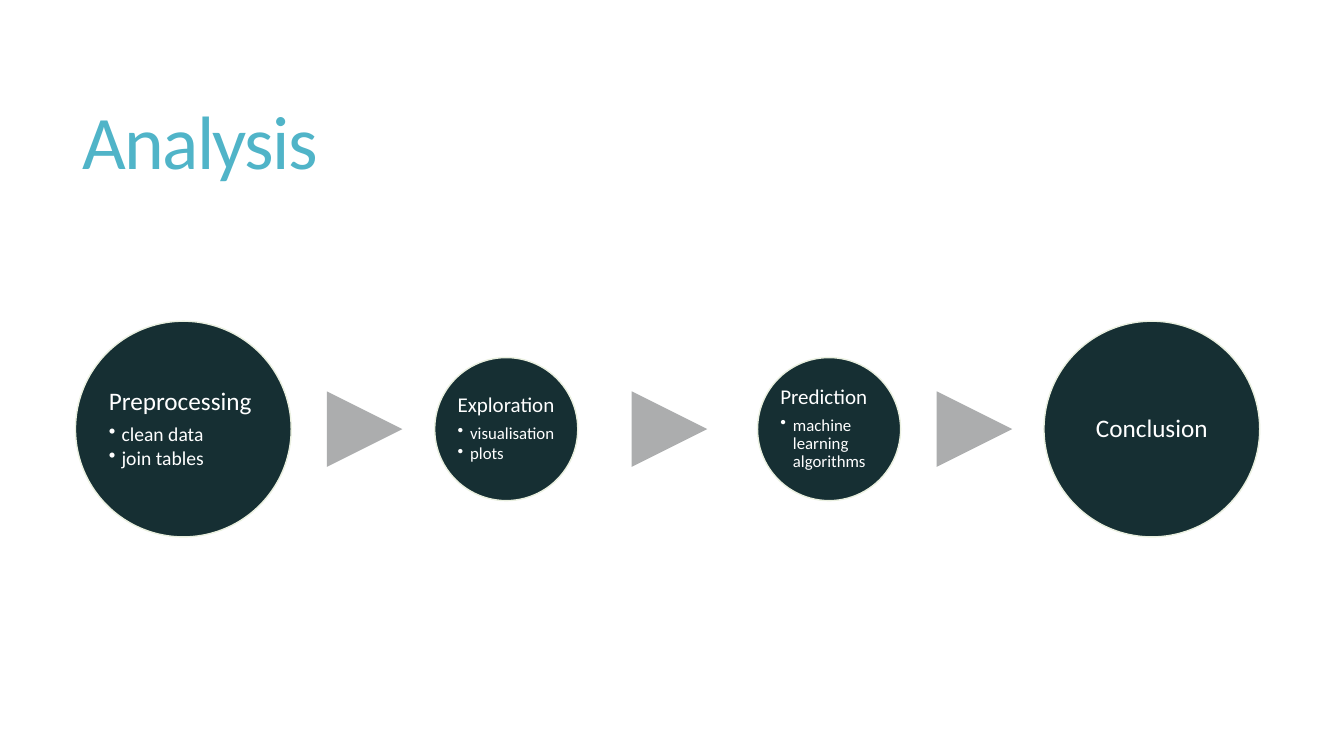
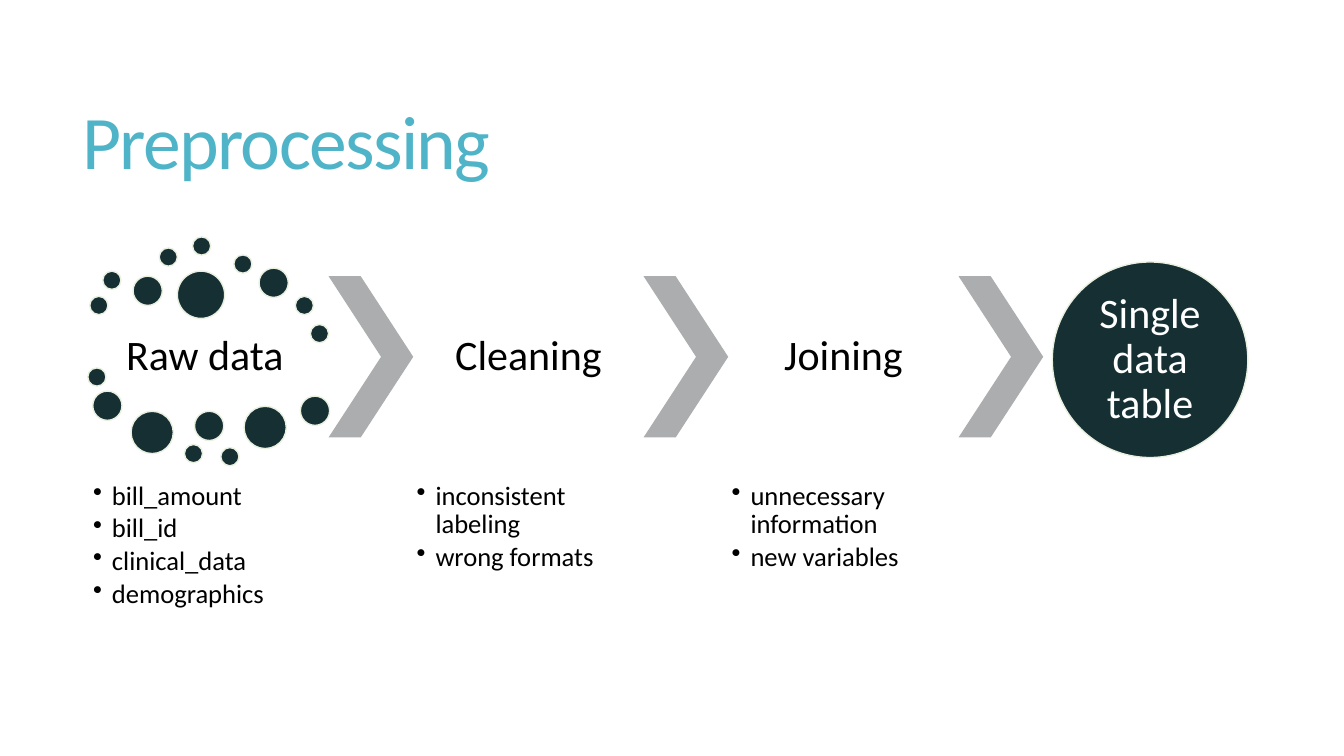
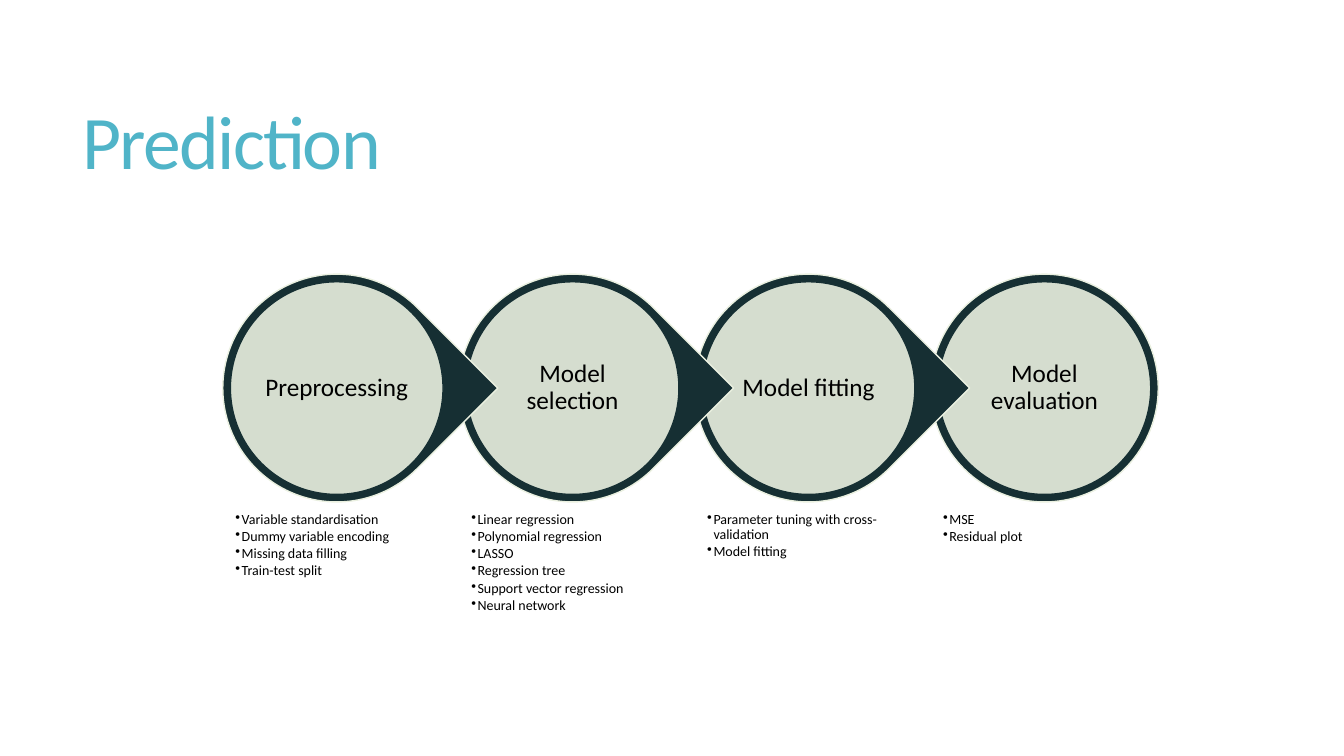
"""Build three slides on analysis, preprocessing and prediction."""
from dataclasses import dataclass
from typing import Any

from lxml import etree
from pptx import Presentation
from pptx.dml import color
from pptx.enum import shapes, text
from pptx.oxml import ns
from pptx.util import Pt

HUES = {"title": "50B4C8", "dark": "162F33", "pale": "EAF0E0",
        "grey": "ACADAE", "white": "FFFFFF", "black": "000000"}
FONT = "Calibri"
CORE = 0.71
KIND = shapes.MSO_SHAPE
LEFT, MID = text.PP_ALIGN.LEFT, text.PP_ALIGN.CENTER
TOP, CENTRE = text.MSO_ANCHOR.TOP, text.MSO_ANCHOR.MIDDLE


@dataclass(frozen=True)
class Box:
    """A frame on the slide, in points."""
    left: float
    top: float
    wide: float
    high: float

    def pts(self) -> tuple[Pt, ...]:
        """Give the frame as lengths."""
        return tuple(Pt(n) for n in (self.left, self.top, self.wide, self.high))


@dataclass(frozen=True)
class Style:
    """The look of a paragraph; a hang above zero brings a bullet."""
    size: float
    hue: str = "black"
    align: Any = LEFT
    after: float = 0.35
    lead: float = 0.9
    hang: float = 0
    track: int = 0


@dataclass(frozen=True)
class Line:
    """One paragraph of text."""
    words: str
    style: Style


@dataclass(frozen=True)
class Step:
    """A disc of a flow with its heading and points."""
    wide: float
    head: Line
    points: tuple[str, ...] = ()
    small: float = 14


@dataclass(frozen=True)
class Stage:
    """A label with a list of points below it."""
    name: str
    points: tuple[str, ...]


def put(thing: Any, form: dict[str, Any]) -> None:
    """Set attributes from a dict."""
    for key, value in form.items():
        setattr(thing, key, value)


def tint(hue: str) -> color.RGBColor:
    """Look up a colour."""
    return color.RGBColor.from_string(HUES[hue])


def square(x: float, y: float, side: float) -> Box:
    """Make a square frame around a centre."""
    return Box(x - side / 2, y - side / 2, side, side)


def write(slide: Any, box: Box, lines: list[Line], inset: float = 2,
          anchor: Any = CENTRE) -> None:
    """Add a text box."""
    frame = slide.shapes.add_textbox(*box.pts()).text_frame
    put(frame, {"word_wrap": True, "vertical_anchor": anchor})
    put(frame, {f"margin_{side}": Pt(inset)
                for side in ("left", "top", "right", "bottom")})
    for num, line in enumerate(lines):
        style = line.style
        para = frame.add_paragraph() if num else frame.paragraphs[0]
        put(para, {"alignment": style.align, "line_spacing": style.lead,
                   "space_after": Pt(style.size * style.after)})
        run = para.add_run()
        run.text = line.words
        put(run.font, {"size": Pt(style.size), "name": FONT})
        run.font.color.rgb = tint(style.hue)
        if style.track:
            run.font._element.set("spc", str(style.track))
        if style.hang:
            props = para._p.get_or_add_pPr()
            props.set("marL", str(Pt(style.hang)))
            props.set("indent", str(-Pt(style.hang)))
            etree.SubElement(props, ns.qn("a:buChar")).set("char", "•")


def draw(slide: Any, kind: Any, box: Box, fill: str = "dark", edge: str = "pale",
         turn: float = 0, alpha: int = 100) -> Any:
    """Add a filled shape; an empty edge means no outline."""
    shape = slide.shapes.add_shape(kind, *box.pts())
    shape.shadow.inherit = False
    shape.rotation = turn
    shape.fill.solid()
    shape.fill.fore_color.rgb = tint(fill)
    if alpha < 100:
        node = shape._element.spPr.find(".//" + ns.qn("a:srgbClr"))
        etree.SubElement(node, ns.qn("a:alpha")).set("val", str(alpha * 1000))
    if edge:
        shape.line.color.rgb = tint(edge)
        shape.line.width = Pt(1)
    else:
        shape.line.fill.background()
    return shape


def points(items: tuple[str, ...], size: float, hang: float,
           hue: str = "black") -> list[Line]:
    """Make bulleted lines."""
    style = Style(size, hue, after=0.15, hang=hang)
    return [Line(item, style) for item in items]


def start(deck: Any, title: str) -> Any:
    """Add a blank slide with its title."""
    slide = deck.slides.add_slide(deck.slide_layouts[6])
    style = Style(54, "title", after=0, lead=0.85, track=-120)
    write(slide, Box(51.8, 39.6, 848.2, 130.3), [Line(title, style)], 7.2)
    return slide


def flow(deck: Any) -> None:
    """Draw the analysis slide."""
    slide = start(deck, "Analysis")
    big, small = Style(18, "white"), Style(15, "white")
    steps = (
        Step(154.1, Line("Preprocessing", big), ("clean data", "join tables")),
        Step(102.2, Line("Exploration", small), ("visualisation", "plots"), 12),
        Step(102.2, Line("Prediction", small), ("machine learning algorithms",), 12),
        Step(154.1, Line("Conclusion", Style(18, "white", MID))),
    )
    mid = 306.5
    for num, step in enumerate(steps):
        x = 131 + num * 230.6
        draw(slide, KIND.OVAL, square(x, mid, step.wide))
        write(slide, square(x, mid, step.wide * CORE),
              [step.head, *points(step.points, step.small, 9, "white")], 1.5)
    for num in range(len(steps) - 1):
        draw(slide, KIND.ISOSCELES_TRIANGLE, square(260.4 + num * 217.8, mid, 54),
             "grey", "", 90)


def clean(deck: Any) -> None:
    """Draw the preprocessing slide."""
    slide = start(deck, "Preprocessing")
    dots = {
        13: ((70.6, 218.2), (79.9, 200.2), (120.2, 183.6), (144, 175.7),
             (173.5, 188.6), (217.4, 218.2), (228.2, 238.3), (69.2, 269.3),
             (138.2, 324), (164.2, 326.2)),
        20.9: ((105.5, 207.7), (195.5, 202), (76.7, 289.8), (149.4, 304.2),
               (225, 293.4)),
        30.2: ((108.7, 308.9), (189.4, 305.3)),
        33.8: ((143.6, 210.6),),
    }
    for side, spots in dots.items():
        for x, y in spots:
            draw(slide, KIND.OVAL, square(x, y, side))
    stages = (
        Stage("Raw data", ("bill_amount", "bill_id", "clinical_data", "demographics")),
        Stage("Cleaning", ("inconsistent labeling", "wrong formats")),
        Stage("Joining", ("unnecessary information", "new variables")),
    )
    head = Style(30, align=MID)
    top, high, pitch = 197.3, 115.2, 225
    for num, stage in enumerate(stages):
        left = 70.2 + num * pitch if num else 64.1
        write(slide, Box(left, top, 164.6, high), [Line(stage.name, head)], 3)
        write(slide, Box(left, 342, 164.6, 101.5),
              points(stage.points, 19, 13.5), 2.4, TOP)
        mark = draw(slide, KIND.CHEVRON,
                    Box(234.7 + num * pitch, top, 60.5, high), "grey", "")
        mark.adjustments[0] = 0.62
    x, y, side = 821.5, 257, 139.7
    draw(slide, KIND.OVAL, square(x, y, side))
    write(slide, square(x, y, side * CORE),
          [Line("Single data table", Style(30, "white", MID))], 0)


def chain(deck: Any) -> None:
    """Draw the prediction slide."""
    slide = start(deck, "Prediction")
    stages = (
        Stage("Preprocessing", ("Variable standardisation", "Dummy variable encoding",
                                "Missing data filling", "Train-test split")),
        Stage("Model selection", ("Linear regression", "Polynomial regression", "LASSO",
                                  "Regression tree", "Support vector regression",
                                  "Neural network")),
        Stage("Model fitting", ("Parameter tuning with cross-validation",
                                "Model fitting")),
        Stage("Model evaluation", ("MSE", "Residual plot")),
    )
    mid, ring, disc = 277.2, 162.7, 151.9
    last = len(stages) - 1
    for num in range(last, -1, -1):
        stage, x = stages[num], 240.5 + num * 168.5
        kind, turn = (KIND.OVAL, 0) if num == last else (KIND.TEAR, 45)
        draw(slide, kind, square(x, mid, ring), turn=turn)
        draw(slide, KIND.OVAL, square(x, mid, disc), "pale", "dark", alpha=90)
        write(slide, square(x, mid, disc * CORE),
              [Line(stage.name, Style(18, align=MID))])
        write(slide, Box(x - disc / 2, 362.2, disc, 89.3),
              points(stage.points, 10, 4.5), 3.6, TOP)


def main() -> None:
    """Build and save the deck."""
    deck = Presentation()
    put(deck, {"slide_width": Pt(960), "slide_height": Pt(540)})
    for build in (flow, clean, chain):
        build(deck)
    deck.save("out.pptx")


main()
